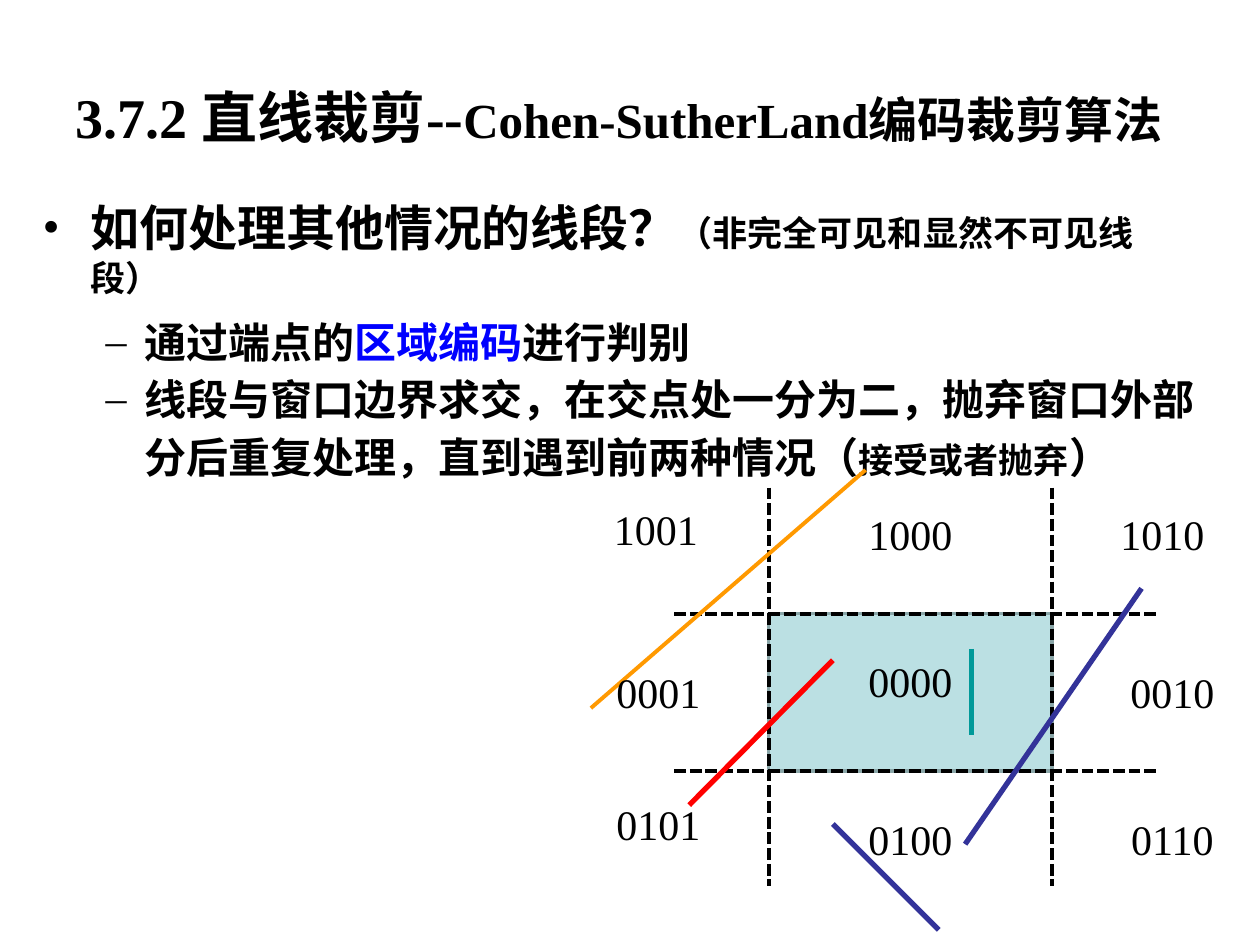
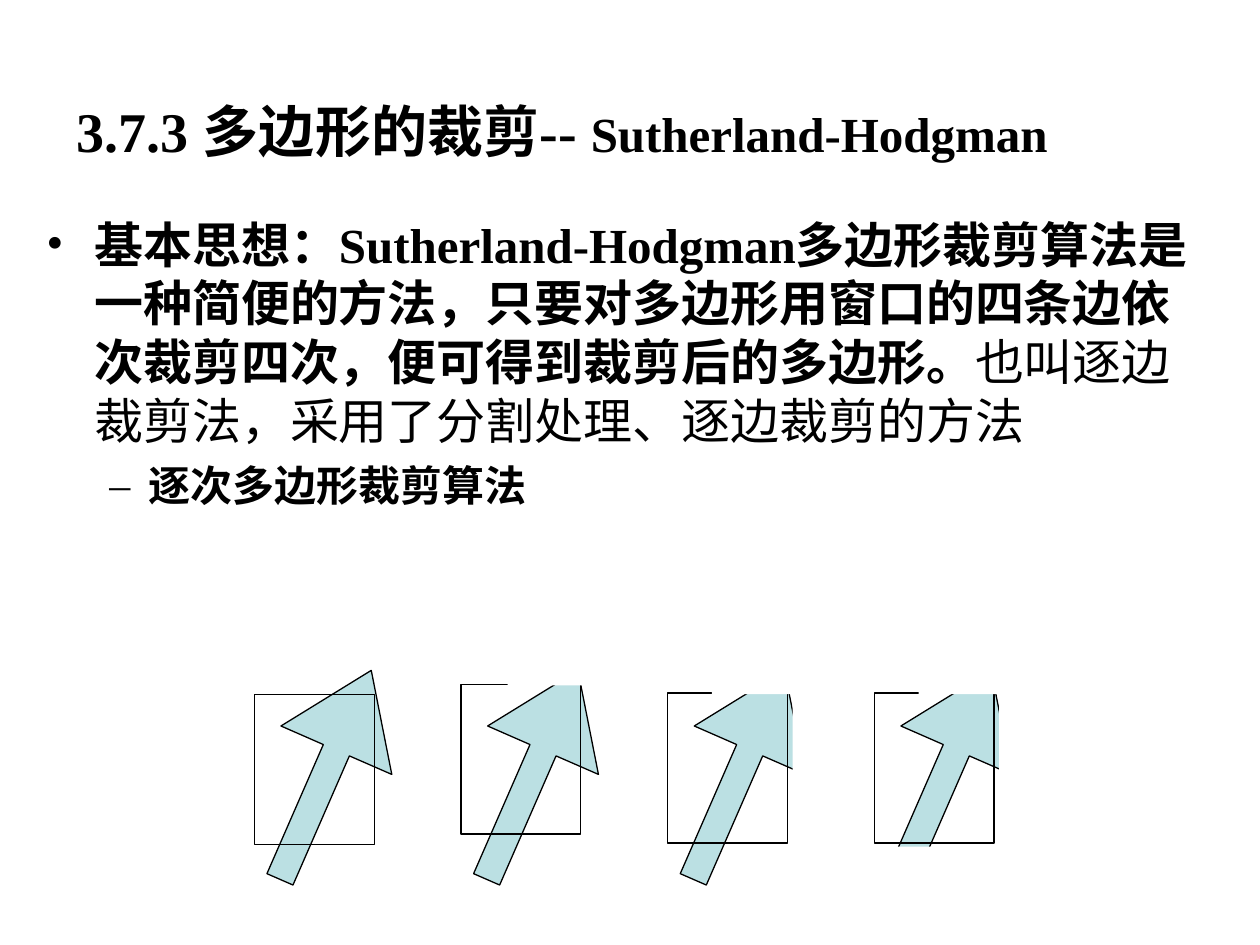
"""Build two slides on clipping: Cohen-Sutherland region codes and Sutherland-Hodgman polygons."""
from lxml.etree import SubElement
from pptx import Presentation
from pptx.dml.color import RGBColor
from pptx.enum.dml import MSO_LINE
from pptx.enum.shapes import MSO_CONNECTOR, MSO_SHAPE
from pptx.enum.text import MSO_ANCHOR, MSO_AUTO_SIZE, PP_ALIGN
from pptx.oxml.ns import qn
from pptx.util import Inches, Pt

BLACK = RGBColor(0x00, 0x00, 0x00)
WHITE = RGBColor(0xFF, 0xFF, 0xFF)
BLUE = RGBColor(0x00, 0x00, 0xFF)
RED = RGBColor(0xFF, 0x00, 0x00)
ORANGE = RGBColor(0xFF, 0x99, 0x00)
INDIGO = RGBColor(0x33, 0x33, 0x99)
TEAL = RGBColor(0x00, 0x99, 0x99)
PALE = RGBColor(0xBB, 0xE0, 0xE3)
PALE_EDGE = RGBColor(0x8A, 0xA6, 0xA8)
LATIN, CJK = "Times New Roman", "Noto Sans CJK SC"
BULLETS = {"•": (3.8, -3.8), "–": (8.1, -3.1)}

prs = Presentation()
prs.slide_width, prs.slide_height = Inches(10), Inches(7.5)
COL = prs.slide_width / 100
TITLE_ONLY = prs.slide_layouts[5]


def write(tf, *runs, size=24, bold=True, align=PP_ALIGN.LEFT, bullet=None, before=0, spacing=None):
    """Add a paragraph; each run is a text with its own format."""
    p = tf.paragraphs[0] if not tf.text else tf.add_paragraph()
    p.alignment, p.space_before, p.line_spacing = align, Pt(before), spacing
    if bullet:
        margin, indent = BULLETS[bullet]
        pPr = p._p.get_or_add_pPr()
        pPr.set("marL", str(round(margin * COL)))
        pPr.set("indent", str(round(indent * COL)))
        SubElement(pPr, qn("a:buFont")).set("typeface", LATIN)
        SubElement(pPr, qn("a:buChar")).set("char", bullet)
    for text, fmt in runs:
        r = p.add_run()
        r.text = text
        r.font.name, r.font.size = LATIN, Pt(fmt.get("size", size))
        r.font.bold = fmt.get("bold", bold)
        r.font.color.rgb = fmt.get("color", BLACK)
        SubElement(r._r.get_or_add_rPr(), qn("a:ea")).set("typeface", CJK)


def box(s, kind, at, fill=None, line=None, width=0.75):
    """Add a preset shape placed in grid columns."""
    sp = s.shapes.add_shape(kind, *[round(v * COL) for v in at])
    sp.shadow.inherit = False
    for part, color in ((sp.fill, fill), (sp.line.fill, line)):
        if color is None:
            part.background()
        else:
            part.solid()
            part.fore_color.rgb = color
    if line is not None:
        sp.line.width = Pt(width)
    return sp


pages = []
for title_at, heading, tail, body_at in (
    ((5, 3, 93, 12.5), "3.7.2 直线裁剪--", "Cohen-SutherLand编码裁剪算法", (2.4, 15.2, 93.8, 22.1)),
    ((5.1, 4.1, 90, 12.5), "3.7.3 多边形的裁剪-- ", "Sutherland-Hodgman", (2.7, 16.5, 94.5, 52.2)),
):
    s = prs.slides.add_slide(TITLE_ONLY)
    title = s.shapes.title
    title.left, title.top, title.width, title.height = [round(v * COL) for v in title_at]
    tf = title.text_frame
    tf.auto_size, tf.vertical_anchor = MSO_AUTO_SIZE.NONE, MSO_ANCHOR.MIDDLE
    write(tf, (heading, {}), (tail, {"size": 28}), size=32)
    tf = s.shapes.add_textbox(*[round(v * COL) for v in body_at]).text_frame
    tf.word_wrap = True
    pages.append((s, tf))

s, tf = pages[0]
write(tf, ("如何处理其他情况的线段？", {}), ("（非完全可见和显然不可见线段）", {"size": 20}),
      size=28, bullet="•", before=6)
write(tf, ("通过端点的", {}), ("区域编码", {"color": BLUE}), ("进行判别", {}),
      bullet="–", before=6, spacing=1.14)
write(tf, ("线段与窗口边界求交，在交点处一分为二，抛弃窗口外部分后重复处理，直到遇到前两种情况（", {}),
      ("接受或者抛弃", {"size": 20}), ("）", {}), bullet="–", spacing=1.14)

LEFT, RIGHT, TOP, BOTTOM = 61, 83.5, 48.7, 61.2
box(s, MSO_SHAPE.RECTANGLE, (LEFT, TOP, RIGHT - LEFT, BOTTOM - TOP), PALE, PALE_EDGE, 2)
borders = [((53.5, y, 91.9, y), BLACK, 2.25) for y in (TOP, BOTTOM)]
borders += [((x, 38.7, x, 70.3), BLACK, 2.25) for x in (LEFT, RIGHT)]
segments = [
    ((54.7, 63.9, 66.1, 52.4), RED, 3),
    ((74.5, 73.8, 66.1, 65.4), INDIGO, 3),
    ((76.6, 67, 90.6, 46.7), INDIGO, 3),
    ((77.1, 51.5, 77.1, 58.3), TEAL, 3),
    ((46.9, 56.2, 68.7, 37.3), ORANGE, 2.25),
]
for ends, color, width in borders + segments:
    line = s.shapes.add_connector(MSO_CONNECTOR.STRAIGHT, *[round(v * COL) for v in ends])
    line.line.color.rgb, line.line.width = color, Pt(width)
    if color == BLACK:
        line.line.dash_style = MSO_LINE.SQUARE_DOT
    SubElement(line._element.spPr, qn("a:effectLst"))

for code, x, y in (
    ("1001", 47.7, 39.5), ("1000", 67.9, 39.9), ("1010", 87.9, 39.9),
    ("0001", 47.9, 52.4), ("0000", 67.9, 51.5), ("0010", 88.7, 52.4),
    ("0101", 47.9, 62.9), ("0100", 67.9, 64.1), ("0110", 88.7, 64.1),
):
    tf = s.shapes.add_textbox(*[round(v * COL) for v in (x, y, 8.7, 5)]).text_frame
    tf.word_wrap = False
    write(tf, (code, {}), bold=False, align=PP_ALIGN.CENTER)

s, tf = pages[1]
write(tf, ("基本思想：Sutherland-Hodgman多边形裁剪算法是一种简便的方法，只要对多边形用窗口的四条边依次裁剪四次，"
           "便可得到裁剪后的多边形。", {}),
      ("也叫逐边裁剪法，采用了分割处理、逐边裁剪的方法", {"bold": False}), size=28, bullet="•", before=6)
write(tf, ("逐次多边形裁剪算法", {}), bullet="–", before=6)

right_cover = (13.3, 55.1, 2.7, 11.9)
stages = [
    (55.1, []),
    (54.3, [(7.1, 50.7, 8.6, 3.7)]),
    (55, [(6.9, 51.4, 7.8, 3.7), right_cover]),
    (55, [(6.9, 51.4, 7.7, 3.7), right_cover, (3.4, 67.2, 9.5, 4.6)]),
]
for i, (window_top, covers) in enumerate(stages):
    x = 16.8 + 16.4 * i
    arrow = box(s, MSO_SHAPE.RIGHT_ARROW, (x, 56.7, 18.1, 9.6), PALE, BLACK)
    arrow.rotation = 293.6
    arrow.adjustments[0], arrow.adjustments[1] = 0.235, 0.72
    box(s, MSO_SHAPE.RECTANGLE, (x + 3.4, window_top, 9.5, 11.9), line=BLACK)
    for dx, y, w, h in covers:
        box(s, MSO_SHAPE.RECTANGLE, (x + dx, y, w, h), WHITE)

prs.save("out.pptx")
